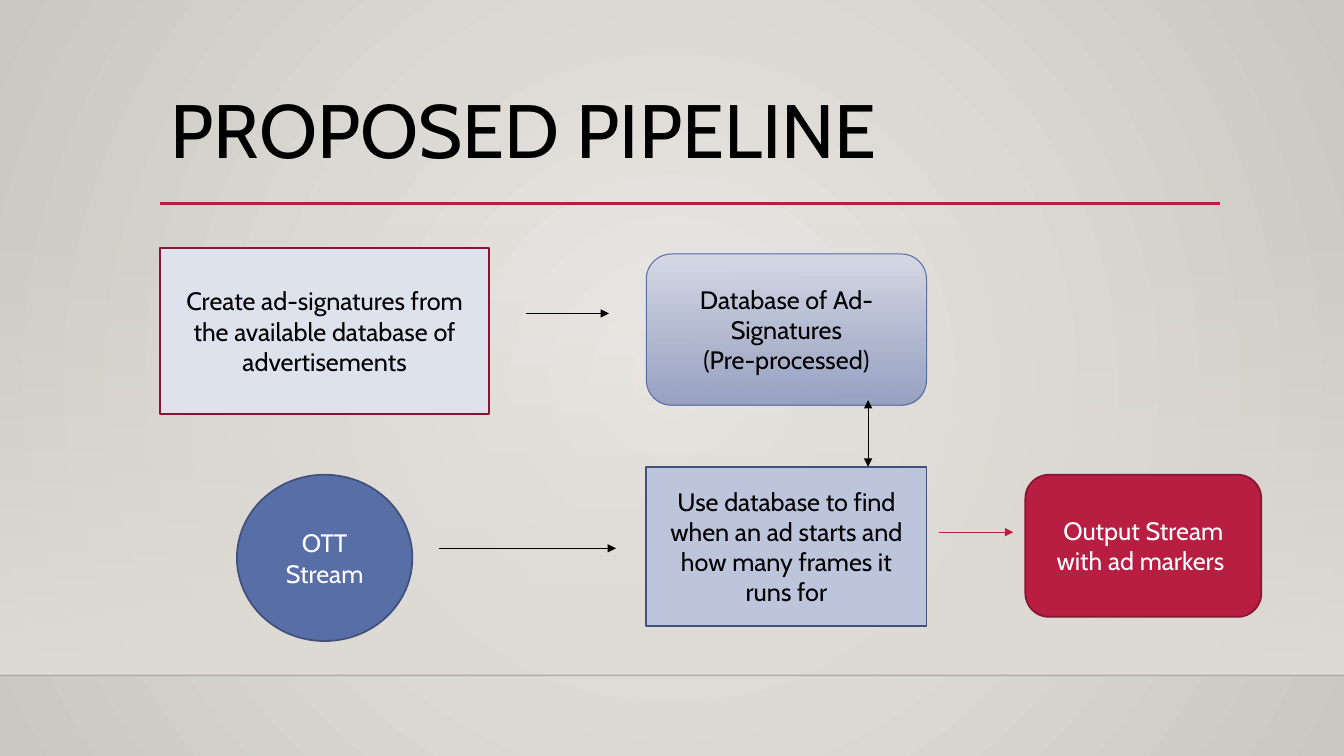
from dataclasses import dataclass

from lxml import etree
from pptx import Presentation
from pptx.dml.color import RGBColor
from pptx.enum.shapes import MSO_CONNECTOR, MSO_SHAPE
from pptx.enum.text import MSO_ANCHOR, PP_ALIGN
from pptx.oxml.ns import qn
from pptx.util import Pt

RECTANGLE = MSO_SHAPE.RECTANGLE
ROUNDED = MSO_SHAPE.ROUNDED_RECTANGLE
OVAL = MSO_SHAPE.OVAL
STRAIGHT = MSO_CONNECTOR.STRAIGHT
LEFT, CENTER = PP_ALIGN.LEFT, PP_ALIGN.CENTER
TOP, MIDDLE = MSO_ANCHOR.TOP, MSO_ANCHOR.MIDDLE

EMU_PER_PX = 9144  # 100 px to the inch
SLIDE_WIDTH, SLIDE_HEIGHT = 1333, 750
FLOOR_Y = 670
DOWNWARD = 270


@dataclass(frozen=True)
class Theme:
    font: str = "Cabin"
    title_size: float = 54
    body_size: float = 18
    thin: float = 0.75
    floor: float = 1
    outline: float = 1.25
    rule: float = 2.5
    black: str = "000000"
    white: str = "FFFFFF"
    red: str = "B71E42"
    dark_red: str = "871631"
    blue: str = "586EA6"
    dark_blue: str = "41517B"
    pale_blue: str = "DEE2ED"
    soft_blue: str = "BCC5DC"
    database_top: str = "D6D9E5"
    database_bottom: str = "929DC0"
    backdrop_center: str = "ECEAE7"
    backdrop_edge: str = "CAC7C1"
    haze: str = "DFDBD5"


THEME = Theme()


@dataclass(frozen=True)
class Stage:
    kind: int
    left: int
    top: int
    width: int
    height: int
    text: str
    fill: tuple[str, ...]  # one colour, or two for a gradient
    line: str
    line_width: float = THEME.outline
    color: str = THEME.black
    alphas: tuple[int, ...] = (100, 100)


@dataclass(frozen=True)
class Line:
    start: tuple[int, int]
    end: tuple[int, int]
    color: str = THEME.black
    width: float = THEME.thin
    heads: tuple[str, ...] = ("tailEnd",)
    alpha: int = 100


STAGES = (
    Stage(RECTANGLE, 159, 246, 326, 165,
          "Create ad-signatures from the available database of advertisements",
          (THEME.pale_blue,), THEME.dark_red),
    Stage(ROUNDED, 641, 252, 278, 150,
          "Database of Ad-Signatures\n(Pre-processed)",
          (THEME.database_top, THEME.database_bottom), THEME.blue,
          THEME.thin, alphas=(100, 92)),
    Stage(OVAL, 235, 471, 174, 165, "OTT\nStream",
          (THEME.blue,), THEME.dark_blue, color=THEME.white),
    Stage(RECTANGLE, 641, 463, 278, 158,
          "Use database to find when an ad starts and how many frames it runs for",
          (THEME.soft_blue,), THEME.dark_blue),
    Stage(ROUNDED, 1017, 471, 234, 141, "Output Stream with ad markers ",
          (THEME.red,), THEME.dark_red, color=THEME.white),
)

FRAME_LINES = (
    Line((0, FLOOR_Y), (SLIDE_WIDTH, FLOOR_Y), width=THEME.floor, heads=(), alpha=20),
    Line((159, 202), (1210, 202), THEME.red, THEME.rule, heads=()),
)

ARROWS = (
    Line((522, 311), (604, 311)),
    Line((435, 544), (611, 544)),
    Line((861, 397), (861, 463), heads=("headEnd", "tailEnd")),
    Line((931, 528), (1005, 528), THEME.red),
)


def px(value: int) -> int:
    return value * EMU_PER_PX


def set_alpha(color_element, percent: int) -> None:
    if percent < 100:
        etree.SubElement(color_element, qn("a:alpha"), val=str(percent * 1000))


def set_gradient(fill, colors: tuple[str, ...]) -> None:
    fill.gradient()
    fill.gradient_angle = DOWNWARD
    for stop, color in zip(fill.gradient_stops, colors):
        stop.color.rgb = RGBColor.from_string(color)


def paint(shape, colors: tuple[str, ...], alphas: tuple[int, ...]) -> None:
    if len(colors) == 1:
        shape.fill.solid()
        shape.fill.fore_color.rgb = RGBColor.from_string(colors[0])
        return
    set_gradient(shape.fill, colors)
    for color_element, alpha in zip(shape.element.spPr.iter(qn("a:srgbClr")), alphas):
        set_alpha(color_element, alpha)


def write_text(shape, text: str, *, size: float, color: str, align=CENTER,
               anchor=MIDDLE, spacing: float = 1.0) -> None:
    frame = shape.text_frame
    frame.word_wrap = True
    frame.vertical_anchor = anchor
    frame.text = text
    for paragraph in frame.paragraphs:
        paragraph.alignment = align
        paragraph.line_spacing = spacing
        for run in paragraph.runs:
            run.font.name = THEME.font
            run.font.size = Pt(size)
            run.font.color.rgb = RGBColor.from_string(color)


def draw_backdrop(slide) -> None:
    set_gradient(slide.background.fill, (THEME.backdrop_center, THEME.backdrop_edge))
    # Turn the linear gradient into a circular one around the middle
    linear = slide.element.find(".//" + qn("a:lin"))
    circle = etree.Element(qn("a:path"), path="circle")
    etree.SubElement(circle, qn("a:fillToRect"), l="50000", t="50000", r="50000", b="50000")
    linear.getparent().replace(linear, circle)

    # Haze that thickens towards the floor
    haze = slide.shapes.add_shape(RECTANGLE, 0, px(221), px(SLIDE_WIDTH), px(FLOOR_Y - 221))
    haze.shadow.inherit = False
    paint(haze, (THEME.haze, THEME.haze), (0, 100))
    haze.line.fill.background()


def draw_line(slide, line: Line) -> None:
    connector = slide.shapes.add_connector(
        STRAIGHT, *(px(value) for value in line.start + line.end))
    connector.line.color.rgb = RGBColor.from_string(line.color)
    connector.line.width = Pt(line.width)
    properties = connector.element.spPr
    outline = properties.find(qn("a:ln"))
    set_alpha(outline.find(".//" + qn("a:srgbClr")), line.alpha)
    for head in line.heads:
        etree.SubElement(outline, qn(f"a:{head}"), type="triangle")
    etree.SubElement(properties, qn("a:effectLst"))


def draw_stage(slide, stage: Stage) -> None:
    shape = slide.shapes.add_shape(
        stage.kind, px(stage.left), px(stage.top), px(stage.width), px(stage.height))
    shape.shadow.inherit = False
    paint(shape, stage.fill, stage.alphas)
    shape.line.color.rgb = RGBColor.from_string(stage.line)
    shape.line.width = Pt(stage.line_width)
    write_text(shape, stage.text, size=THEME.body_size, color=stage.color)


def main() -> None:
    presentation = Presentation()
    presentation.slide_width = px(SLIDE_WIDTH)
    presentation.slide_height = px(SLIDE_HEIGHT)
    slide = presentation.slides.add_slide(presentation.slide_layouts[6])

    # Backdrop and frame
    draw_backdrop(slide)
    for line in FRAME_LINES:
        draw_line(slide, line)

    # Title
    title = slide.shapes.add_textbox(px(159), px(88), px(1050), px(115))
    write_text(title, "PROPOSED PIPELINE", size=THEME.title_size, color=THEME.black,
               align=LEFT, anchor=TOP, spacing=0.9)

    # Pipeline
    for stage in STAGES:
        draw_stage(slide, stage)
    for arrow in ARROWS:
        draw_line(slide, arrow)

    presentation.save("out.pptx")


if __name__ == "__main__":
    main()
